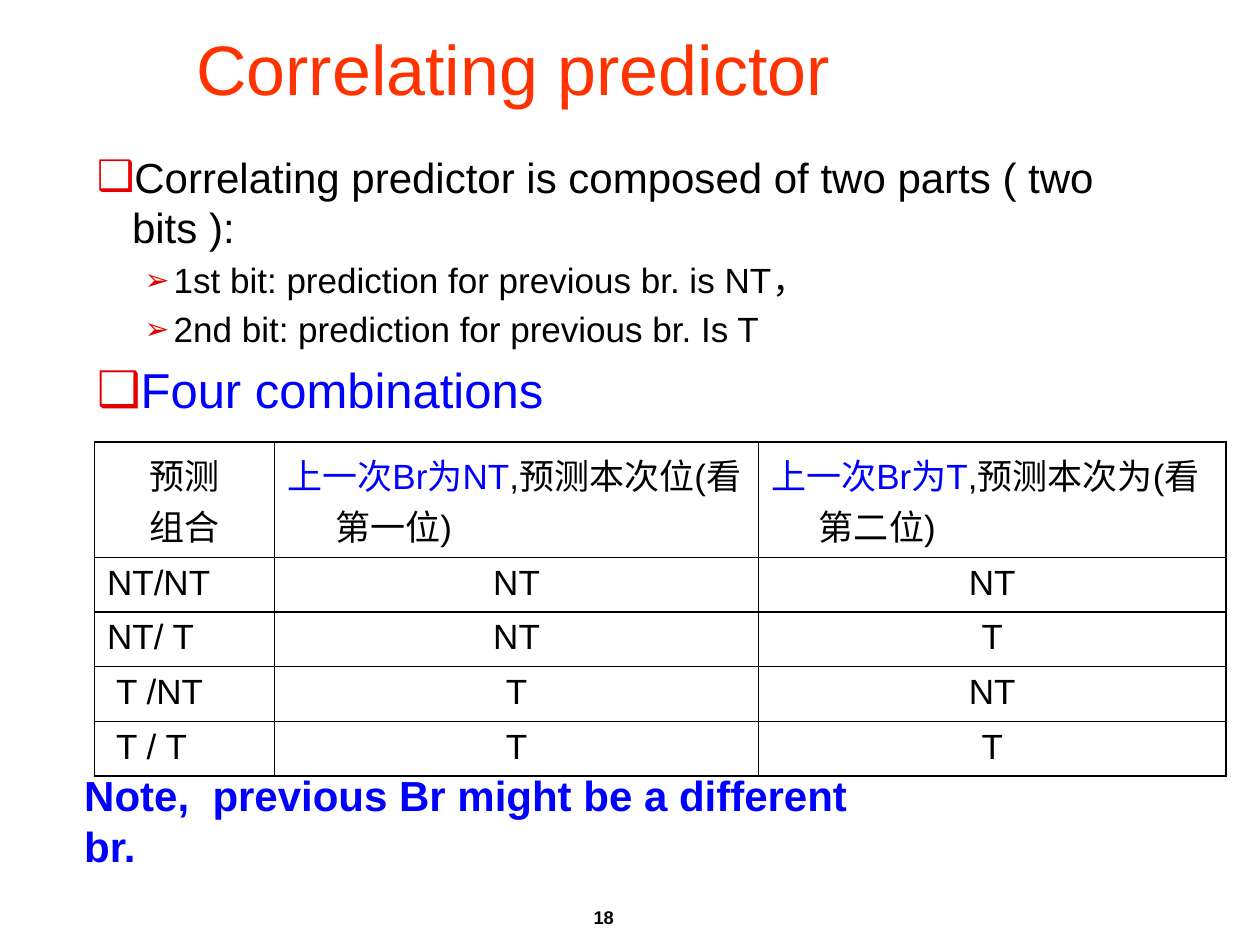
from pptx import Presentation
from pptx.dml.color import RGBColor
from pptx.enum.text import MSO_ANCHOR, PP_ALIGN
from pptx.oxml.xmlchemy import OxmlElement
from pptx.util import Inches, Pt

WIDE, HIGH = Inches(10), Inches(7.5)
BLACK, BLUE, RED, ORANGE = "000000", "0000FF", "E40000", "FF3300"
BULLETS = {0: ("❑", 100, 0.28, 0.28), 1: ("➢", 85, 0.61, 0.23)}
POINTS = [
    (0, "Correlating predictor is composed of two parts ( two bits ):", 24, BLACK),
    (1, "1st bit: prediction for previous br. is NT，", 20, BLACK),
    (1, "2nd bit: prediction for previous br. Is T", 20, BLACK),
    (0, "Four combinations", 28, BLUE),
]
COLS = [1.43, 3.84, 3.71]
ROWS = [0.91] + [0.43] * 4
HEADS = [
    [[("预测", BLACK)], [("组合", BLACK)]],
    [[("上一次Br为NT", BLUE), (",预测本次位(看第一位)", BLACK)]],
    [[("上一次Br为T", BLUE), (",预测本次为(看第二位)", BLACK)]],
]
CASES = [("NT/NT", "NT", "NT"), ("NT/ T", "NT", "T"),
         (" T /NT", "T", "NT"), (" T / T", "T", "T")]


def color(code):
    """Turn a hex string into a colour."""
    return RGBColor.from_string(code)


def area(left, top, width, height):
    """Turn percentages of the slide into a box."""
    return [round(part * full / 100) for part, full in
            zip((left, top, width, height), (WIDE, HIGH, WIDE, HIGH))]


def style(item, values):
    """Set each format value on an item."""
    for name, value in values.items():
        setattr(item, name, value)


def node(parent, tag, place=None, **attrs):
    """Add an XML child with attributes."""
    child = OxmlElement(tag)
    for name, value in attrs.items():
        child.set(name, str(value))
    parent.insert(len(parent) if place is None else place, child)
    return child


def write(para, text, size, code, bold=False):
    """Add one run of text to a paragraph."""
    run = para.add_run()
    run.text = text
    style(run.font, {"name": "Arial", "size": Pt(size), "bold": bold})
    run.font.color.rgb = color(code)


def indent(para, left, hang):
    """Give a paragraph a hanging indent."""
    props = para._p.get_or_add_pPr()
    props.set("marL", str(Inches(left)))
    props.set("indent", str(-Inches(hang)))
    return props


def paras(frame, count):
    """Return the given number of paragraphs in a frame."""
    return [frame.paragraphs[0]] + [frame.add_paragraph() for _ in range(count - 1)]


def label(slide, box, text, size, code, bold=False, align=PP_ALIGN.LEFT,
          anchor=MSO_ANCHOR.TOP):
    """Place one wrapped text in a box."""
    shape = slide.shapes.add_textbox(*box)
    style(shape.text_frame, {"word_wrap": True, "vertical_anchor": anchor})
    para = shape.text_frame.paragraphs[0]
    para.alignment = align
    write(para, text, size, code, bold)
    return shape


def title(slide, box):
    """Place the white title band."""
    band = label(slide, box, "Correlating predictor", 40, ORANGE,
                 anchor=MSO_ANCHOR.MIDDLE)
    band.fill.solid()
    band.fill.fore_color.rgb = color("FFFFFF")


def body(slide, box):
    """Place the bulleted points."""
    frame = slide.shapes.add_textbox(*box).text_frame
    frame.word_wrap = True
    for para, (level, text, size, code) in zip(paras(frame, len(POINTS)), POINTS):
        char, scale, left, hang = BULLETS[level]
        style(para, {"level": level, "space_before": Pt(size * 0.2)})
        props = indent(para, left, hang)
        node(node(props, "a:buClr"), "a:srgbClr", val=RED)
        node(props, "a:buSzPct", val=scale * 1000)
        node(props, "a:buFont", typeface="Arial")
        node(props, "a:buChar", char=char)
        write(para, text, size, code)


def border(cell):
    """Draw thin black lines around a cell."""
    cell.fill.background()
    props = cell._tc.get_or_add_tcPr()
    for place, side in enumerate("LRTB"):
        line = node(props, f"a:ln{side}", place, w=Pt(1))
        node(node(line, "a:solidFill"), "a:srgbClr", val=BLACK)


def fill(cell, lines, align):
    """Write lines of coloured runs into a cell."""
    border(cell)
    for para, line in zip(paras(cell.text_frame, len(lines)), lines):
        para.alignment = align
        indent(para, 0.38, 0.38)
        for text, code in line:
            write(para, text, 20, code)


def table(slide, box):
    """Place the table of combinations."""
    left, top, width, height = box
    grid = slide.shapes.add_table(len(ROWS), len(COLS), *box).table
    style(grid, {"first_row": False, "horz_banding": False})
    for col, share in zip(grid.columns, COLS):
        col.width = round(width * share / sum(COLS))
    for row, share in zip(grid.rows, ROWS):
        row.height = round(height * share / sum(ROWS))
    cases = [[[[(text, BLACK)]] for text in case] for case in CASES]
    for r, row in enumerate([HEADS] + cases):
        for c, lines in enumerate(row):
            mid = (r == 0) == (c == 0)
            fill(grid.cell(r, c), lines, PP_ALIGN.CENTER if mid else PP_ALIGN.LEFT)


def main():
    """Build and save the slide."""
    deck = Presentation()
    style(deck, {"slide_width": WIDE, "slide_height": HIGH})
    slide = deck.slides.add_slide(deck.slide_layouts[6])
    label(slide, area(28.9, 95.2, 20.8, 6.67), "18", 10.5, BLACK, True, PP_ALIGN.RIGHT)
    title(slide, area(14.6, 0, 82.7, 14.27))
    body(slide, area(6.7, 15.33, 83.5, 29.33))
    table(slide, area(7.5, 46.8, 89.8, 35.2))
    label(slide, area(5.7, 80.8, 62.8, 6.67),
          "Note,  previous Br might be a different br.", 24, BLUE, True)
    deck.save("out.pptx")


if __name__ == "__main__":
    main()
